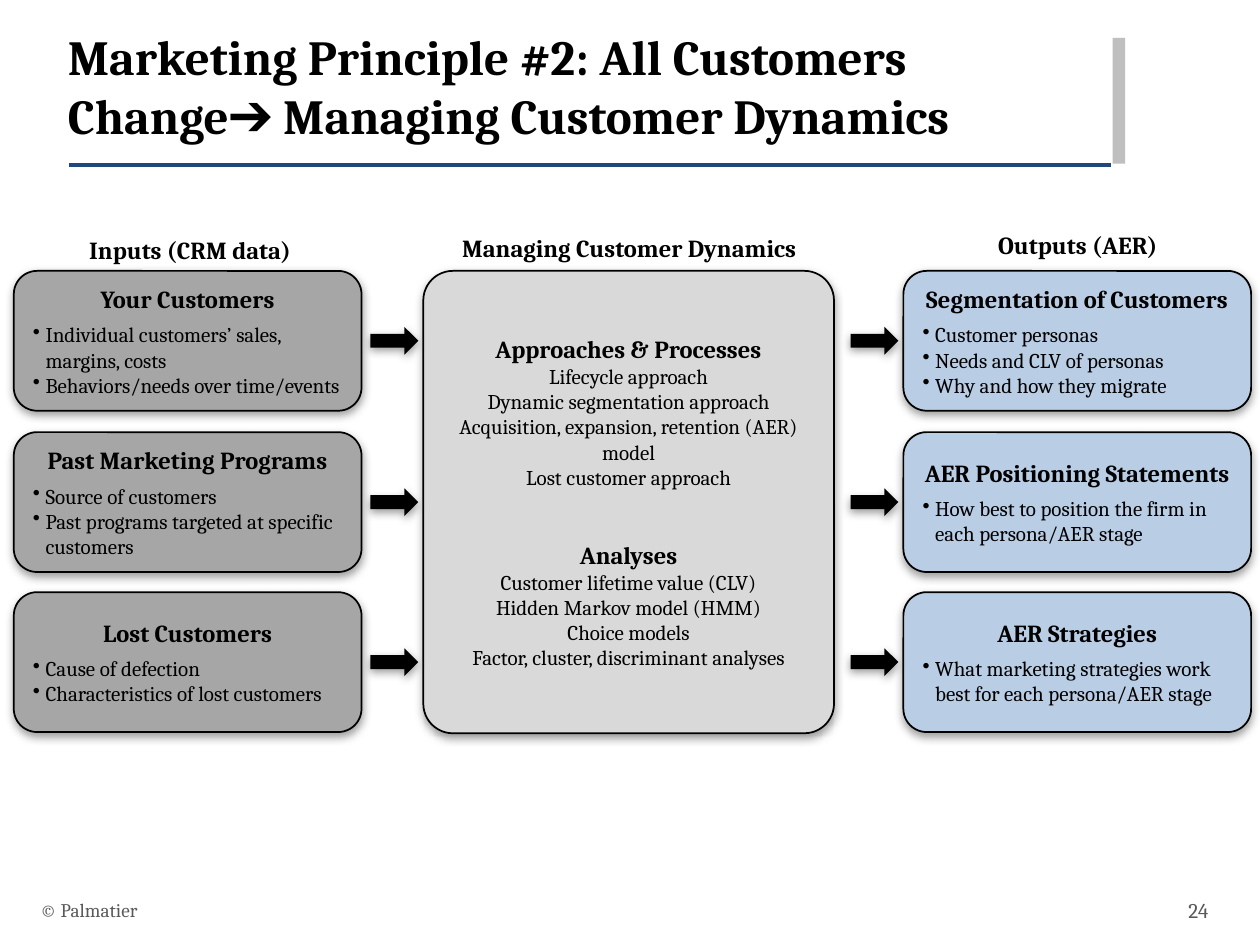
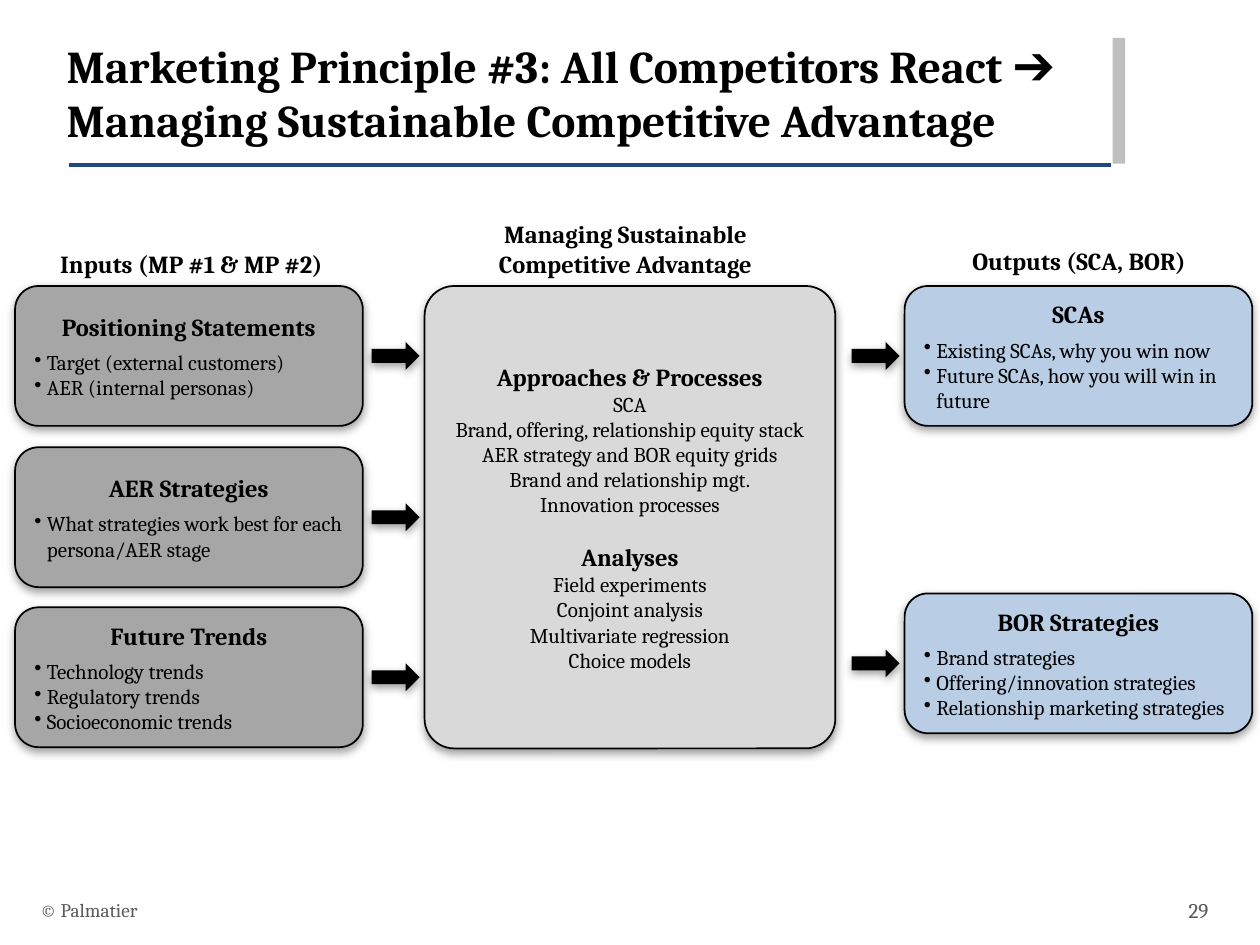
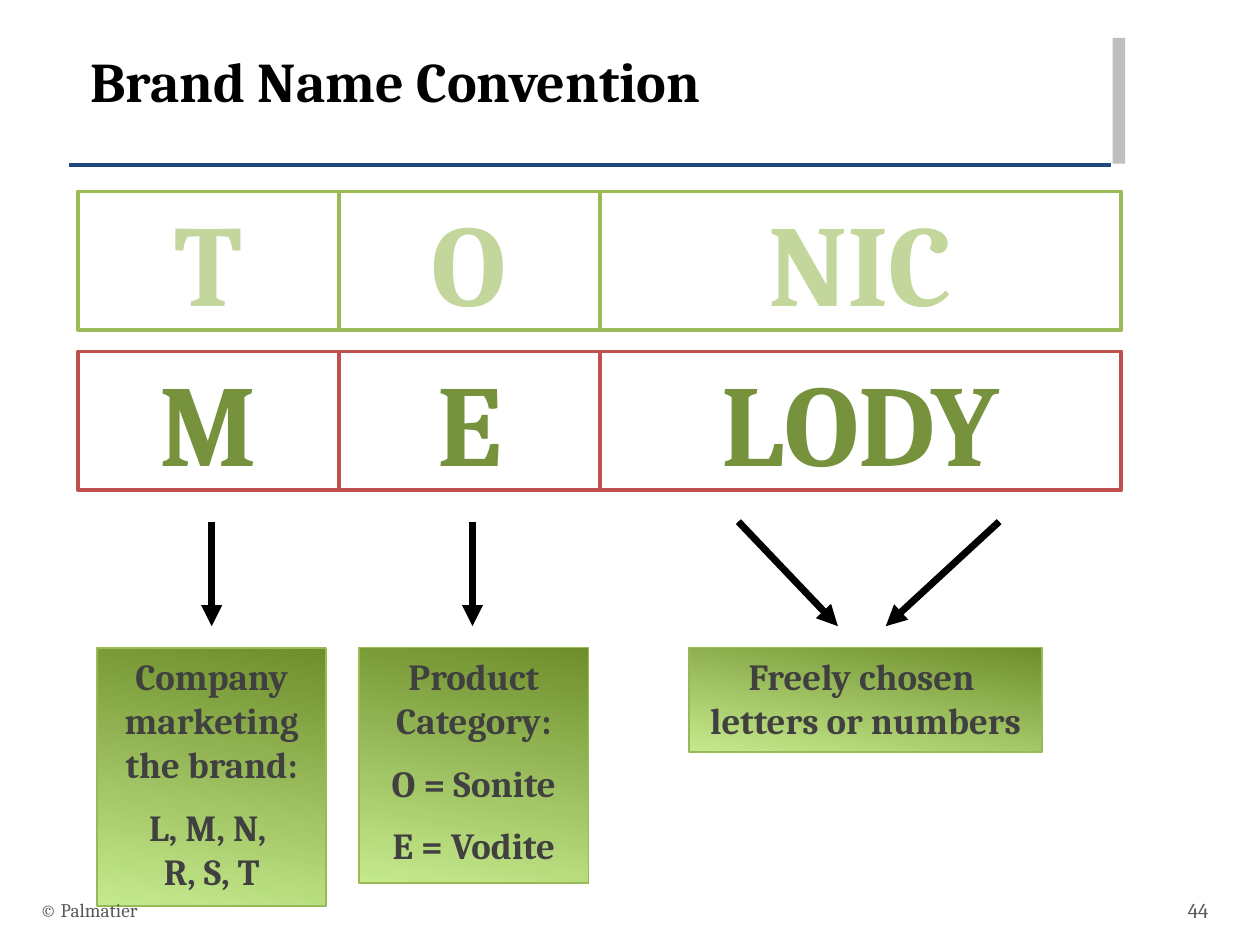
from lxml import etree
from pptx import Presentation
from pptx.dml.color import RGBColor
from pptx.enum.shapes import MSO_CONNECTOR as CONNECTOR, MSO_SHAPE as SHAPE
from pptx.enum.text import MSO_ANCHOR as ANCHOR, PP_ALIGN as ALIGN
from pptx.oxml.ns import qn
from pptx.util import Inches, Pt

FONT = "Cambria"
BLACK = RGBColor(0x00, 0x00, 0x00)
WHITE = RGBColor(0xFF, 0xFF, 0xFF)
NAVY = RGBColor(0x1F, 0x49, 0x7D)
BAND_GRAY = RGBColor(0xBF, 0xBF, 0xBF)
FOOTER_GRAY = RGBColor(0x59, 0x59, 0x59)
INPUT_GRAY = RGBColor(0xA6, 0xA6, 0xA6)
PROCESS_GRAY = RGBColor(0xD9, 0xD9, 0xD9)
OUTPUT_BLUE = RGBColor(0xB9, 0xCD, 0xE5)
GREEN_LINE = RGBColor(0x9B, 0xBB, 0x59)
PALE_GREEN = RGBColor(0xC3, 0xD6, 0x9B)
RED_LINE = RGBColor(0xC0, 0x50, 0x4D)
DARK_GREEN = RGBColor(0x76, 0x92, 0x3C)
NOTE_TEXT = RGBColor(0x40, 0x40, 0x40)
NOTE_LINE = RGBColor(0x98, 0xB9, 0x55)
NOTE_DARK = RGBColor(0x6E, 0x8E, 0x2B)
NOTE_LIGHT = RGBColor(0xC5, 0xEA, 0x8D)

# Content: headings are (text, left, top, width, height),
# boxes are (offset below the diagram top, title, bullets)
FOOTER = "© Palmatier"
ROWS = (0, 1.28, 2.55)

PRINCIPLES = [
    {
        "title": "Marketing Principle #2: All Customers Change➔ Managing Customer Dynamics",
        "title_at": (0.44, 0.16, 8.26, 0.88), "title_size": 28, "page": "24",
        "shift": 0, "top": 2.15,
        "headings": [
            ("Inputs (CRM data)", 0.15, 1.82, 2.72, 0.34),
            ("Managing Customer Dynamics", 3.36, 1.8, 3.27, 0.34),
            ("Outputs (AER)", 7.18, 1.78, 2.75, 0.34),
        ],
        "inputs": [
            (ROWS[0], "Your Customers",
             ["Individual customers’ sales, margins, costs", "Behaviors/needs over time/events"]),
            (ROWS[1], "Past Marketing Programs",
             ["Source of customers", "Past programs targeted at specific customers"]),
            (ROWS[2], "Lost Customers",
             ["Cause of defection", "Characteristics of lost customers"]),
        ],
        "process_gap": 28.8,
        "processes": [
            ("Approaches & Processes",
             ["Lifecycle approach", "Dynamic segmentation approach",
              "Acquisition, expansion, retention (AER) model", "Lost customer approach"]),
            ("Analyses",
             ["Customer lifetime value (CLV)", "Hidden Markov model (HMM)", "Choice models",
              "Factor, cluster, discriminant analyses"]),
        ],
        "outputs": [
            (ROWS[0], "Segmentation of Customers",
             ["Customer personas", "Needs and CLV of personas", "Why and how they migrate"]),
            (ROWS[1], "AER Positioning Statements",
             ["How best to position the firm in each persona/AER stage"]),
            (ROWS[2], "AER Strategies",
             ["What marketing strategies work best for each persona/AER stage"]),
        ],
    },
    {
        "title": "Marketing Principle #3: All Competitors React ➔ "
                 "Managing Sustainable Competitive Advantage",
        "title_at": (0.43, 0.25, 8.72, 0.88), "title_size": 26, "page": "29",
        "shift": 0.01, "top": 2.27,
        "headings": [
            ("Inputs (MP #1 & MP #2)", 0.16, 1.93, 2.72, 0.34),
            ("Managing Sustainable Competitive Advantage", 3.38, 1.69, 3.17, 0.57),
            ("Outputs (SCA, BOR)", 7.19, 1.9, 2.75, 0.34),
        ],
        "inputs": [
            (ROWS[0], "Positioning Statements",
             ["Target (external customers)", "AER (internal personas)"]),
            (ROWS[1], "AER Strategies",
             ["What strategies work best for each persona/AER stage"]),
            (ROWS[2], "Future Trends",
             ["Technology trends", "Regulatory trends", "Socioeconomic trends"]),
        ],
        "process_gap": 14.4,
        "processes": [
            ("Approaches & Processes",
             ["SCA", "Brand, offering, relationship equity stack",
              "AER strategy and BOR equity grids", "Brand and relationship mgt.",
              "Innovation processes"]),
            ("Analyses",
             ["Field experiments", "Conjoint analysis", "Multivariate regression",
              "Choice models"]),
        ],
        "outputs": [
            (ROWS[0], "SCAs",
             ["Existing SCAs, why you win now", "Future SCAs, how you will win in future"]),
            (2.44, "BOR Strategies",
             ["Brand strategies", "Offering/innovation strategies",
              "Relationship marketing strategies"]),
        ],
    },
]

CONVENTION = {"title": "Brand Name Convention", "title_at": (0.62, 0.32, 7.17, 0.86),
              "title_size": 32, "page": "44"}
BRANDS = [  # top, line colour, letter colour, parts
    (1.52, GREEN_LINE, PALE_GREEN, ["T", "O", "NIC"]),
    (2.79, RED_LINE, DARK_GREEN, ["M", "E", "LODY"]),
]
PART_WIDTHS = (2.07, 2.07, 4.14)
NOTES = [  # left, width, height, paragraphs
    (0.77, 1.82, 2.05, ["Company marketing the brand:", "L, M, N, \vR, S, T"]),
    (2.85, 1.82, 1.87, ["Product Category:", "O = Sonite", "E = Vodite"]),
    (5.47, 2.8, 0.83, ["Freely chosen \vletters or numbers"]),
]
POINTERS = [(1.68, 1.68), (3.75, 3.75), (5.86, 6.65), (7.93, 7.03)]  # x at start, x at end

# Diagram geometry
BOX_W, BOX_H = 2.76, 1.11
INPUT_X, PROCESS_X, OUTPUT_X = 0.11, 3.36, 7.17
PROCESS_W, PROCESS_H = 3.26, 3.67
ARROW_W, ARROW_H = 0.38, 0.22
INPUT_ARROW_X, OUTPUT_ARROW_X = 2.94, 6.75


def write(frame, lines, anchor=ANCHOR.TOP, wrap=True):
    """Each line is (text, format); format holds font values, align, before and bullet."""
    frame.word_wrap, frame.vertical_anchor = wrap, anchor
    for i, (text, style) in enumerate(lines):
        para = frame.paragraphs[0] if i == 0 else frame.add_paragraph()
        para.text = text
        para.alignment = style.get("align", ALIGN.LEFT)
        para.space_before = Pt(style.get("before", 0))
        if style.get("bullet"):
            props = para._p.get_or_add_pPr()
            props.set("marL", str(Inches(0.1)))
            props.set("indent", str(-Inches(0.1)))
            etree.SubElement(props, qn("a:buChar"), char="•")
        font_values = {"name": FONT, "size": Pt(style["size"]), "bold": style.get("bold", False)}
        for run in para.runs:
            for key, value in font_values.items():
                setattr(run.font, key, value)
            run.font.color.rgb = style.get("color", BLACK)


def add_text(slide, at, text, anchor=ANCHOR.TOP, **style):
    box = slide.shapes.add_textbox(*map(Inches, at))
    write(box.text_frame, [(text, style)], anchor)


def add_block(slide, kind, at, fill=None, line=None, weight=1):
    block = slide.shapes.add_shape(kind, *map(Inches, at))
    block.shadow.inherit = False
    if fill is not None:
        block.fill.solid()
        block.fill.fore_color.rgb = fill
    if line is None:
        block.line.fill.background()
    else:
        block.line.color.rgb, block.line.width = line, Pt(weight)
    return block


def add_line(slide, start, end, color, weight):
    line = slide.shapes.add_connector(CONNECTOR.STRAIGHT, *map(Inches, start + end))
    line.line.color.rgb, line.line.width = color, Pt(weight)
    etree.SubElement(line._element.spPr, qn("a:effectLst"))
    return line


def drop_shadow(block):
    effects = block._element.spPr.find(qn("a:effectLst"))
    shadow = etree.SubElement(effects, qn("a:outerShdw"), blurRad=str(Pt(5)), dist=str(Pt(2)),
                              dir="5400000", algn="ctr", rotWithShape="0")
    tint = etree.SubElement(shadow, qn("a:srgbClr"), val="808080")
    etree.SubElement(tint, qn("a:alpha"), val="75000")


def add_base(prs, content):
    slide = prs.slides.add_slide(prs.slide_layouts[6])
    add_line(slide, (0.55, 1.31), (8.82, 1.31), NAVY, 2)
    add_block(slide, SHAPE.RECTANGLE, (8.83, 0.3, 0.1, 1), BAND_GRAY)
    add_text(slide, content["title_at"], content["title"], size=content["title_size"], bold=True)
    return slide


def add_footer(slide, page):
    add_text(slide, (0.22, 7.02, 6.7, 0.4), FOOTER, ANCHOR.MIDDLE, size=11, color=FOOTER_GRAY)
    add_text(slide, (9.08, 7.02, 0.61, 0.4), page, ANCHOR.MIDDLE, size=12, color=FOOTER_GRAY,
             align=ALIGN.RIGHT)


def add_column(slide, boxes, x, arrow_x, top, fill):
    heading = {"size": 14, "bold": True, "align": ALIGN.CENTER}
    for offset, title, bullets in boxes:
        y = top + offset
        box = add_block(slide, SHAPE.ROUNDED_RECTANGLE, (x, y, BOX_W, BOX_H), fill, BLACK)
        drop_shadow(box)
        lines = [(title, heading)]
        lines += [(bullet, {"size": 12, "bullet": True, "before": 0 if i else 4.8})
                  for i, bullet in enumerate(bullets)]
        write(box.text_frame, lines, ANCHOR.MIDDLE)
        arrow_y = y + (BOX_H - ARROW_H) / 2
        drop_shadow(add_block(slide, SHAPE.RIGHT_ARROW, (arrow_x, arrow_y, ARROW_W, ARROW_H), BLACK))


def build_principle(prs, content):
    slide = add_base(prs, content)
    shift, top = content["shift"], content["top"]
    for text, *at in content["headings"]:
        add_text(slide, at, text, size=14, bold=True, align=ALIGN.CENTER)

    # Central process panel
    panel = add_block(slide, SHAPE.ROUNDED_RECTANGLE,
                      (PROCESS_X + shift, top, PROCESS_W, PROCESS_H), PROCESS_GRAY, BLACK)
    panel.adjustments[0] = 0.072
    drop_shadow(panel)
    lines = []
    for title, items in content["processes"]:
        gap = content["process_gap"] if lines else 0
        lines.append((title, {"size": 14, "bold": True, "align": ALIGN.CENTER, "before": gap}))
        lines += [(item, {"size": 12, "align": ALIGN.CENTER}) for item in items]
    write(panel.text_frame, lines, ANCHOR.MIDDLE)

    # Inputs and outputs with their arrows
    add_column(slide, content["inputs"], INPUT_X + shift, INPUT_ARROW_X + shift, top, INPUT_GRAY)
    add_column(slide, content["outputs"], OUTPUT_X + shift, OUTPUT_ARROW_X + shift, top,
               OUTPUT_BLUE)
    add_footer(slide, content["page"])


def build_convention(prs):
    slide = add_base(prs, CONVENTION)

    # Brand names split into parts
    for top, line, color, parts in BRANDS:
        left = 0.62
        for part, width in zip(parts, PART_WIDTHS):
            cell = add_block(slide, SHAPE.RECTANGLE, (left, top, width, 1.1), WHITE, line, 2.25)
            style = {"size": 66, "bold": True, "color": color, "align": ALIGN.CENTER}
            write(cell.text_frame, [(part, style)], ANCHOR.MIDDLE, wrap=False)
            left += width

    # Pointers from the parts to the notes
    for start_x, end_x in POINTERS:
        pointer = add_line(slide, (start_x, 4.14), (end_x, 4.97), BLACK, 4)
        etree.SubElement(pointer.line._get_or_add_ln(), qn("a:tailEnd"), type="triangle")

    # Notes
    for left, width, height, paragraphs in NOTES:
        note = add_block(slide, SHAPE.RECTANGLE, (left, 5.14, width, height), line=NOTE_LINE)
        note.fill.gradient()
        note.fill.gradient_angle = 260
        for stop, position, color in zip(note.fill.gradient_stops, (0, 1), (NOTE_DARK, NOTE_LIGHT)):
            stop.position, stop.color.rgb = position, color
        write(note.text_frame,
              [(text, {"size": 21, "bold": True, "color": NOTE_TEXT, "align": ALIGN.CENTER,
                       "before": 10.5 if i else 0}) for i, text in enumerate(paragraphs)],
              wrap=len(paragraphs) > 1)
    add_footer(slide, CONVENTION["page"])


def main():
    prs = Presentation()
    prs.slide_width, prs.slide_height = Inches(10), Inches(7.5)
    for content in PRINCIPLES:
        build_principle(prs, content)
    build_convention(prs)
    prs.save("out.pptx")


if __name__ == "__main__":
    main()
